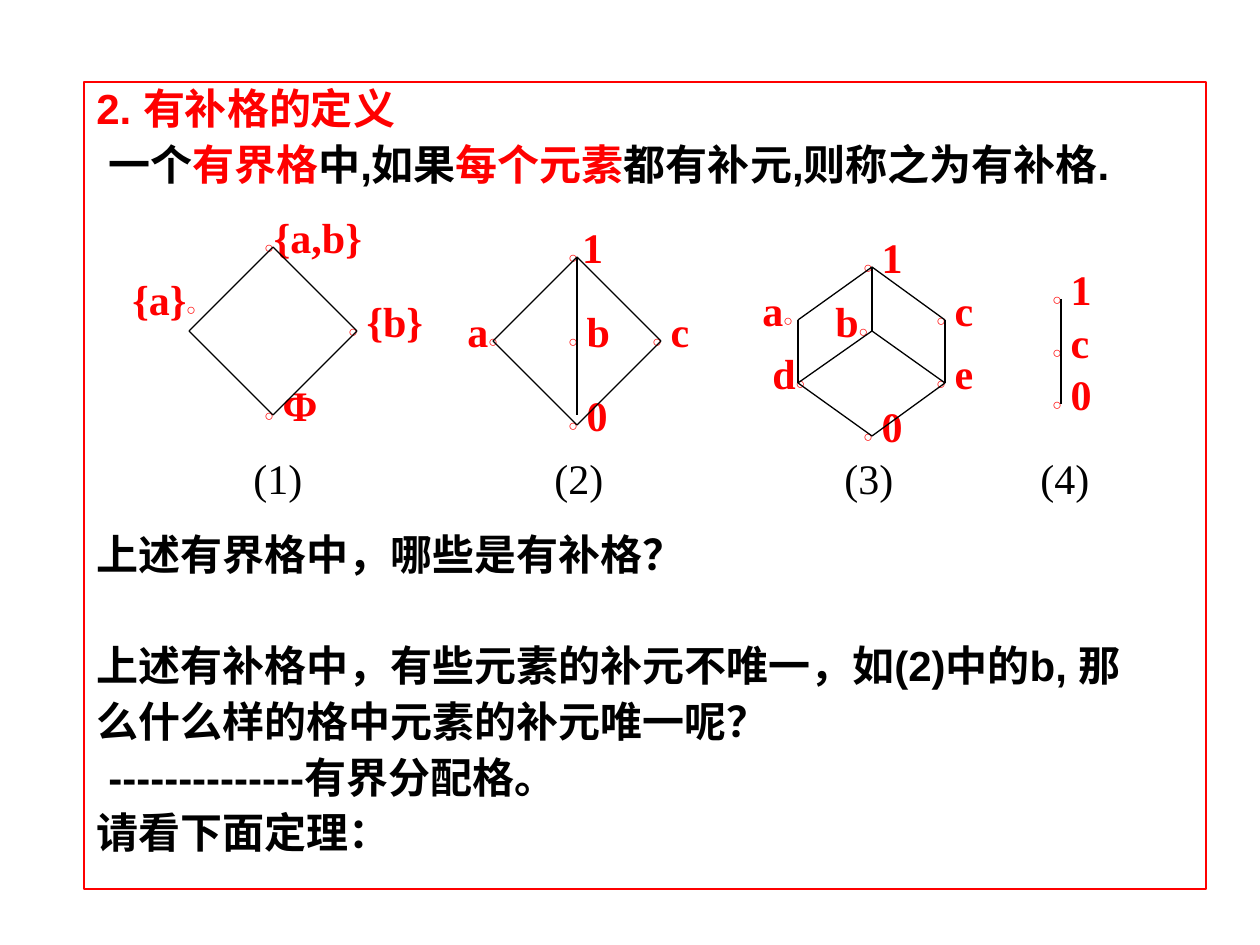
"""Build a slide that defines complemented lattices with four Hasse diagrams."""
from dataclasses import dataclass

from lxml import etree
from pptx import Presentation
from pptx.dml.color import RGBColor
from pptx.enum.shapes import MSO_CONNECTOR, MSO_SHAPE
from pptx.enum.text import MSO_ANCHOR, PP_ALIGN
from pptx.oxml.ns import qn
from pptx.shapes.autoshape import Shape
from pptx.slide import Slide
from pptx.text.text import _Paragraph
from pptx.util import Pt

PX = 914400 / 126
COLORS = {"red": "FF0000", "black": "000000"}
SANS, SERIF = "Arial", "Times New Roman"
RECTANGLE = MSO_SHAPE.RECTANGLE
STRAIGHT = MSO_CONNECTOR.STRAIGHT
TOP = MSO_ANCHOR.TOP
LEFT, CENTER = PP_ALIGN.LEFT, PP_ALIGN.CENTER
LINE_WIDTH = 0.75
TEXT_SIZE, DOT_SIZE = 24, 9


@dataclass(frozen=True)
class Run:
    text: str
    color: str = "black"
    font: str = SANS
    size: int = TEXT_SIZE
    bold: bool = True


@dataclass(frozen=True)
class BodyLine:
    runs: tuple[Run, ...]
    space_before: float = 6
    indent: int = 0


@dataclass(frozen=True)
class Node:
    x: int
    y: int
    label: str
    dx: int = -21
    dy: int = -42
    gap_size: int = 18
    label_first: bool = False


@dataclass(frozen=True)
class Lattice:
    caption: str
    caption_x: int
    nodes: tuple[Node, ...]
    edges: tuple[tuple[int, int, int, int], ...]


BODY = (
    BodyLine((Run("2. 有补格的定义", "red"),), 0),
    BodyLine((
        Run("一个"), Run("有界格", "red"), Run("中,如果"),
        Run("每个元素", "red"), Run("都有补元,则称之为有补格."),
    ), indent=12),
    BodyLine((Run("上述有界格中，哪些是有补格？"),), 197),
    BodyLine((Run("上述有补格中，有些元素的补元不唯一，如(2)中的b, 那"),), 37.5),
    BodyLine((Run("么什么样的格中元素的补元唯一呢？"),)),
    BodyLine((Run("--------------有界分配格。"),), indent=12),
    BodyLine((Run("请看下面定理："),)),
)


def diamond(x: int, y: int, radius: int) -> tuple[tuple[int, int, int, int], ...]:
    """Return the four edges of a diamond around a centre."""
    return tuple(
        (x, y + vertical, x + side, y)
        for vertical in (-radius, radius) for side in (-radius, radius)
    )


LATTICES = (
    Lattice("(1)", 278, (
        Node(273, 247, "{a,b}", gap_size=0),
        Node(189, 331, "{a}", dx=-69, dy=-64, label_first=True),
        Node(357, 331, "{b}"),
        Node(273, 415, "Φ"),
    ), diamond(273, 331, 84)),
    Lattice("(2)", 579, (
        Node(577, 257, "1", gap_size=9),
        Node(494, 341, "a", dx=-39, label_first=True),
        Node(577, 341, "b"),
        Node(661, 341, "c"),
        Node(577, 425, "0"),
    ), diamond(577, 341, 84) + ((577, 257, 577, 415),)),
    Lattice("(3)", 869, (
        Node(872, 267, "1"),
        Node(798, 320, "a", dx=-48, label_first=True),
        Node(872, 331, "b", dx=-49, label_first=True),
        Node(945, 320, "c"),
        Node(798, 383, "d", dx=-38, label_first=True),
        Node(945, 383, "e"),
        Node(872, 436, "0"),
    ), (
        (872, 267, 798, 320), (872, 267, 945, 320), (872, 267, 872, 331),
        (798, 320, 798, 383), (945, 320, 945, 383),
        (872, 331, 798, 383), (872, 331, 945, 383),
        (798, 383, 872, 436), (945, 383, 872, 436),
    )),
    Lattice("(4)", 1065, (
        Node(1061, 299, "1"), Node(1061, 352, "c"), Node(1061, 404, "0"),
    ), ((1061, 299, 1061, 404),)),
)


def px(length: int) -> int:
    """Convert pixels to EMU."""
    return round(length * PX)


def color(name: str) -> RGBColor:
    """Look up a named colour."""
    return RGBColor.from_string(COLORS[name])


def add_runs(paragraph: _Paragraph, runs: tuple[Run, ...]) -> None:
    """Append formatted runs to a paragraph."""
    for item in runs:
        run = paragraph.add_run()
        run.text = item.text
        run.font.name = item.font
        run.font.size = Pt(item.size)
        run.font.bold = item.bold
        run.font.color.rgb = color(item.color)


def add_text(slide: Slide, left: int, top: int, width: int, runs: tuple[Run, ...],
             alignment: PP_ALIGN = LEFT) -> Shape:
    """Add a one-line text box."""
    shape = slide.shapes.add_textbox(px(left), px(top), px(width), px(63))
    shape.text_frame.word_wrap = True
    paragraph = shape.text_frame.paragraphs[0]
    paragraph.alignment = alignment
    add_runs(paragraph, runs)
    return shape


def add_body(slide: Slide) -> None:
    """Add the framed body text."""
    shape = slide.shapes.add_shape(RECTANGLE, px(84), px(82), px(1122), px(807))
    shape.shadow.inherit = False
    shape.fill.background()
    shape.line.color.rgb = color("red")
    shape.line.width = Pt(LINE_WIDTH)
    frame = shape.text_frame
    frame.word_wrap = True
    frame.vertical_anchor = TOP
    for index, line in enumerate(BODY):
        paragraph = frame.add_paragraph() if index else frame.paragraphs[0]
        paragraph.alignment = LEFT
        paragraph.line_spacing = 0.9
        paragraph.space_before = Pt(line.space_before)
        paragraph._p.get_or_add_pPr().set("indent", str(px(line.indent)))
        add_runs(paragraph, line.runs)


def add_node(slide: Slide, node: Node) -> None:
    """Add a node's circle and label."""
    dot = Run("○", "red", SANS, DOT_SIZE)
    label = Run(node.label, "red", SERIF)
    gap = (Run(" ", "red", SANS, node.gap_size),) if node.gap_size else ()
    runs = (label, dot) if node.label_first else (dot, *gap, label)
    add_text(slide, node.x + node.dx, node.y + node.dy, 136, runs)


def add_edge(slide: Slide, edge: tuple[int, int, int, int]) -> None:
    """Add a straight edge between two points."""
    connector = slide.shapes.add_connector(STRAIGHT, *(px(value) for value in edge))
    connector.line.color.rgb = color("black")
    connector.line.width = Pt(LINE_WIDTH)
    etree.SubElement(connector._element.spPr, qn("a:effectLst"))


def add_lattice(slide: Slide, lattice: Lattice) -> None:
    """Add a Hasse diagram and its caption."""
    for node in lattice.nodes:
        add_node(slide, node)
    for edge in lattice.edges:
        add_edge(slide, edge)
    caption = Run(lattice.caption, font=SERIF, bold=False)
    add_text(slide, lattice.caption_x - 42, 446, 84, (caption,), CENTER)


def main() -> None:
    """Create and save the presentation."""
    presentation = Presentation()
    presentation.slide_width, presentation.slide_height = px(1260), px(945)
    slide = presentation.slides.add_slide(presentation.slide_layouts[6])
    add_body(slide)
    for lattice in LATTICES:
        add_lattice(slide, lattice)
    presentation.save("out.pptx")


if __name__ == "__main__":
    main()
